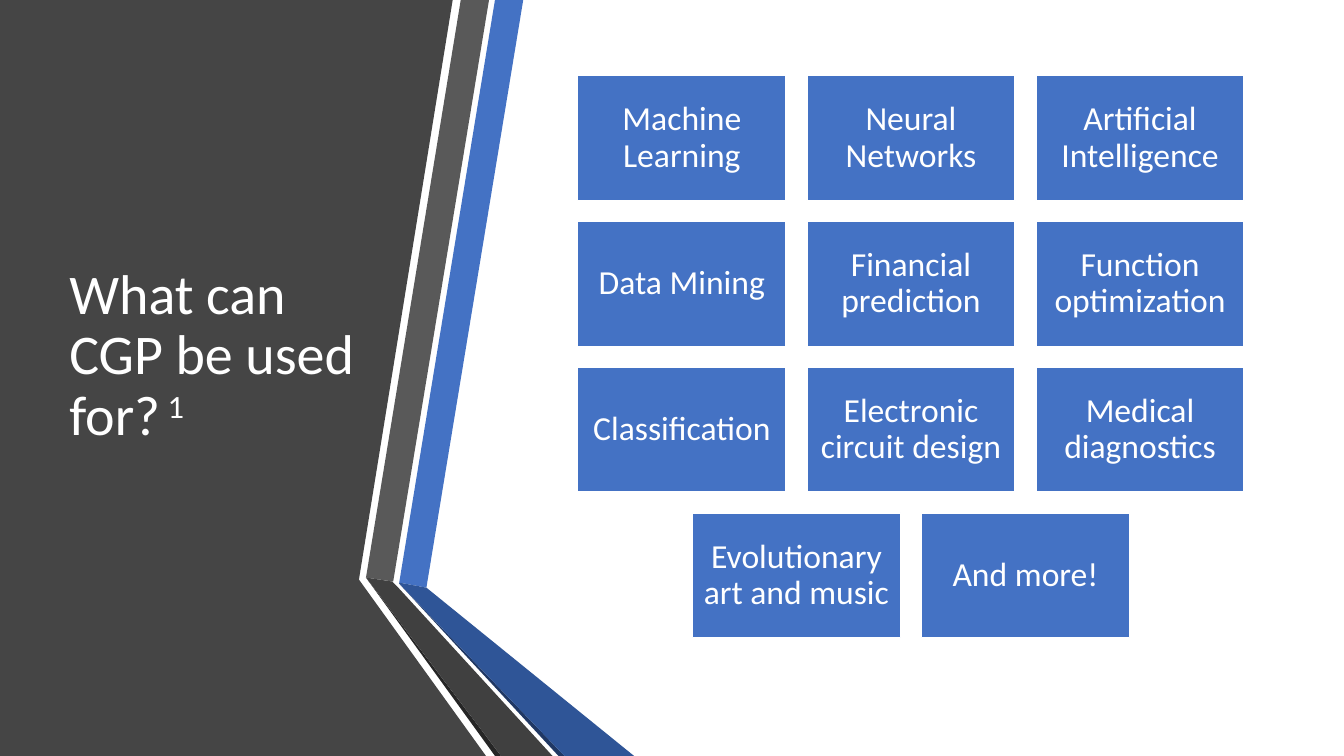
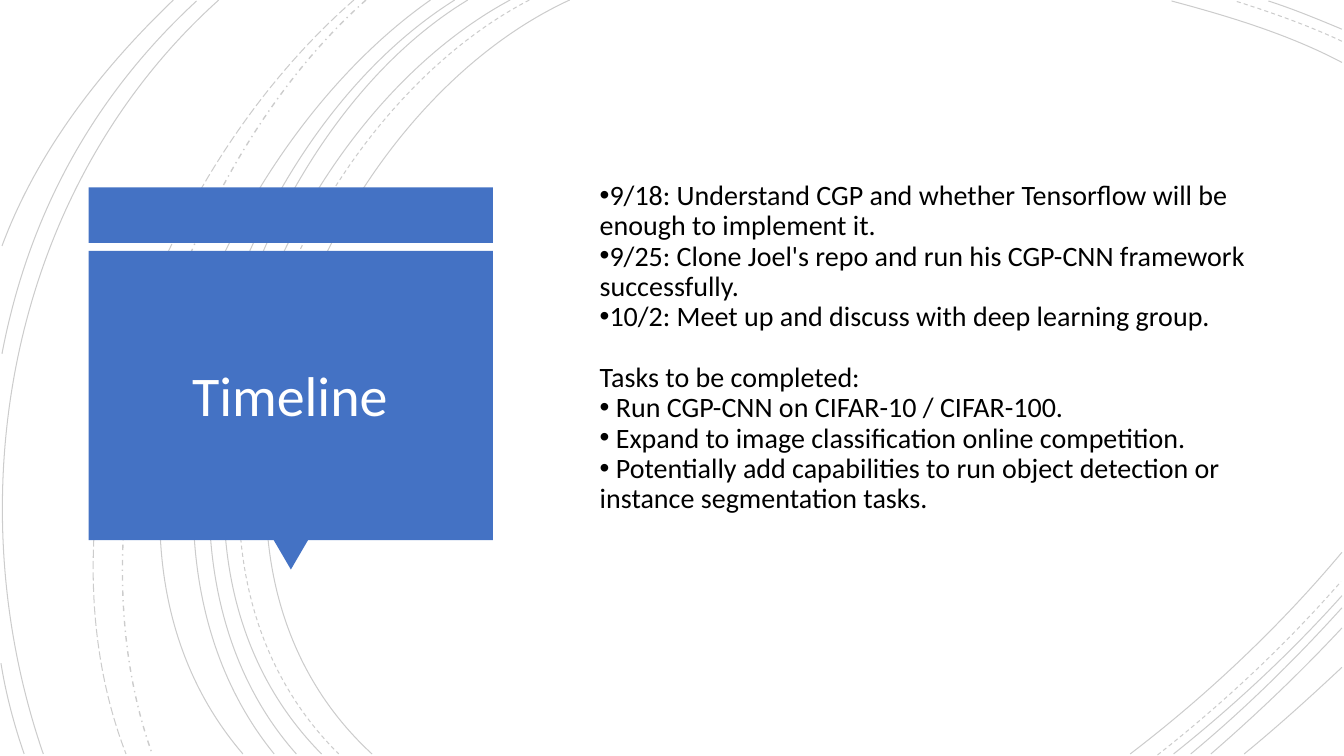
from lxml import etree
from pptx import Presentation
from pptx.dml.color import RGBColor
from pptx.enum import dml, shapes, text
from pptx.oxml import ns
from pptx.util import Inches, Pt

FONT = "Calibri"
WHITE, BLACK, BLUE = "FFFFFF", "000000", "4472C4"
WIDTH, HEIGHT = 13.33, 7.5
TITLE_FORMAT = {"size": Pt(40), "color": WHITE}
TILE_FORMAT = {"size": Pt(24), "color": WHITE}
BODY_FORMAT = {"size": Pt(20), "color": BLACK}
SOLID, DASH = dml.MSO_LINE.SOLID, dml.MSO_LINE.DASH
LONG_DASH, DASH_DOT = dml.MSO_LINE.LONG_DASH, dml.MSO_LINE.DASH_DOT

# Folded ribbon: colour and corner points, from back to front
RIBBON = [
    ("454545", [(0, 0), (4.49, 0), (3.56, 5.75), (4.82, 7.5), (0, 7.5)]),
    (BLUE, [(3.96, 5.78), (4.23, 5.83), (5.19, 0), (4.91, 0)]),
    ("595959", [(4.85, 0), (4.57, 0), (3.63, 5.73), (3.9, 5.77)]),
    ("262626", [(3.63, 5.73), (4.91, 7.5), (4.97, 7.5)]),
    ("203864", [(3.96, 5.79), (5.54, 7.5), (5.6, 7.5)]),
    ("2F5597", [(3.96, 5.79), (5.6, 7.5), (6.29, 7.5), (4.23, 5.83), (3.96, 5.78)]),
    ("404040", [(5.48, 7.5), (3.95, 5.83), (3.89, 5.77), (3.63, 5.73), (4.97, 7.5)]),
]

# Background arcs: dash style and four Bezier points
ARCS = [
    (SOLID, (5.65, 0), (3.15, 1.15), (1.43, 5.4), (3.69, 7.48)),
    (SOLID, (13.31, 0.62), (12.78, 0.34), (12.18, 0.16), (11.62, 0.01)),
    (SOLID, (11.21, 7.48), (11.97, 6.9), (12.69, 6.22), (13.31, 5.48)),
    (DASH, (5.25, 0), (2.85, 1.25), (1.23, 5.37), (3.36, 7.48)),
    (DASH, (13.31, 0.41), (12.97, 0.25), (12.6, 0.12), (12.25, 0.01)),
    (DASH, (11.48, 7.49), (12.13, 6.98), (12.75, 6.4), (13.3, 5.77)),
    (SOLID, (5.06, 0), (2.7, 1.27), (1.1, 5.37), (3.19, 7.48)),
    (SOLID, (13.31, 0.29), (13.07, 0.19), (12.83, 0.09), (12.58, 0.01)),
    (SOLID, (11.64, 7.48), (12.23, 7.01), (12.8, 6.48), (13.31, 5.91)),
    (SOLID, (4.64, 0), (2.44, 1.33), (1.1, 5.41), (2.94, 7.48)),
    (SOLID, (11.81, 7.48), (12.34, 7.04), (12.84, 6.55), (13.31, 6.03)),
    (SOLID, (4.51, 0), (2.31, 1.38), (0.97, 5.33), (2.72, 7.48)),
    (SOLID, (12.01, 7.48), (12.46, 7.09), (12.9, 6.67), (13.31, 6.23)),
    (SOLID, (4.27, 0), (2.17, 1.47), (0.53, 5.29), (2.41, 7.48)),
    (SOLID, (12.34, 7.48), (12.67, 7.21), (12.99, 6.92), (13.31, 6.62)),
    (DASH_DOT, (3.63, 0), (1.76, 1.66), (0.65, 5.09), (1.51, 7.48)),
    (LONG_DASH, (3.51, 0), (1.57, 1.69), (0.29, 4.99), (1.25, 7.48)),
    (SOLID, (2.17, 0), (0.11, 1.85), (-0.46, 4.9), (0.43, 7.48)),
    (SOLID, (1.95, 0.01), (0.92, 0.96), (0.28, 2.14), (0.02, 3.51)),
    (SOLID, (0.01, 6.58), (0.06, 6.89), (0.14, 7.19), (0.24, 7.48)),
    (SOLID, (1.72, 0), (1, 0.69), (0.37, 1.5), (0.02, 2.44)),
]

USES = ["Machine Learning", "Neural Networks", "Artificial Intelligence",
        "Data Mining", "Financial prediction", "Function optimization",
        "Classification", "Electronic circuit design", "Medical diagnostics",
        "Evolutionary art and music", "And more!"]

MILESTONES = [
    "9/18: Understand CGP and whether Tensorflow will be enough to implement it.",
    "9/25: Clone Joel's repo and run his CGP-CNN framework successfully.",
    "10/2: Meet up and discuss with deep learning group.",
]
TASKS = [
    " Run CGP-CNN on CIFAR-10 / CIFAR-100.",
    " Expand to image classification online competition.",
    " Potentially add capabilities to run object detection or instance segmentation tasks.",
]


# Shared helpers
def rgb(value):
    return RGBColor.from_string(value)


def paint(shape, fill=None, line=None):
    shape.shadow.inherit = False
    for part, color in ((shape.fill, fill), (shape.line.fill, line)):
        if color:
            part.solid()
            part.fore_color.rgb = rgb(color)
        else:
            part.background()


def add_block(slide, preset, box, fill, line=None):
    shape = slide.shapes.add_shape(preset, *map(Inches, box))
    paint(shape, fill, line)
    return shape


def add_outline(slide, points, close=True):
    corners = [(Inches(x), Inches(y)) for x, y in points]
    builder = slide.shapes.build_freeform(*corners[0])
    builder.add_line_segments(corners[1:], close=close)
    return builder.convert_to_shape()


def add_curve(slide, controls):
    """Draw one cubic Bezier curve through its four control points."""
    shape = add_outline(slide, controls, close=False)
    segments = list(shape._element.iter(ns.qn("a:lnTo")))
    outline = segments[0].getparent()
    curve = etree.SubElement(outline, ns.qn("a:cubicBezTo"))
    for segment in segments:
        curve.append(segment[0])
        outline.remove(segment)
    return shape


def add_text_box(slide, box):
    return slide.shapes.add_textbox(*map(Inches, box))


def prepare_frame(shape, anchor=text.MSO_ANCHOR.MIDDLE, inset=None):
    frame = shape.text_frame
    frame.word_wrap = True
    frame.vertical_anchor = anchor
    if inset is not None:
        for side in ("left", "right", "top", "bottom"):
            setattr(frame, f"margin_{side}", Inches(inset))
    return frame


def add_run(paragraph, words, style):
    run = paragraph.add_run()
    run.text = words
    run.font.name = FONT
    for name, value in style.items():
        if name == "color":
            run.font.color.rgb = rgb(value)
        else:
            setattr(run.font, name, value)
    return run


def write(paragraph, words, style, align=text.PP_ALIGN.LEFT):
    paragraph.alignment = align
    paragraph.line_spacing = 0.9
    return add_run(paragraph, words, style)


def add_title(slide, box, words, align=text.PP_ALIGN.LEFT):
    paragraph = prepare_frame(add_text_box(slide, box)).paragraphs[0]
    write(paragraph, words, TITLE_FORMAT, align)
    return paragraph


# Slide 1: ribbon, title and tiles
def draw_ribbon(slide, left, top):
    for color, points in RIBBON:
        paint(add_outline(slide, [(left + x, top + y) for x, y in points]), color)


def draw_tiles(slide, left, top, width, columns=3):
    tile_width = width / (columns + 0.1 * (columns - 1))
    tile_height = 0.6 * tile_width
    gap = 0.1 * tile_width
    for start in range(0, len(USES), columns):
        row = USES[start:start + columns]
        row_width = len(row) * (tile_width + gap) - gap
        x = left + (width - row_width) / 2
        y = top + start // columns * (tile_height + gap)
        for words in row:
            tile = add_block(slide, shapes.MSO_SHAPE.RECTANGLE,
                             (x, y, tile_width, tile_height), BLUE, WHITE)
            tile.line.width = Pt(1)
            frame = prepare_frame(tile, inset=0.1)
            write(frame.paragraphs[0], words, TILE_FORMAT, text.PP_ALIGN.CENTER)
            x += tile_width + gap


def build_uses_slide(slide):
    draw_ribbon(slide, 0, 0)
    title = add_title(slide, (0.59, 0.75, 3.04, 5.58), "What can CGP be used for?")
    note = add_run(title, " 1", TITLE_FORMAT)
    note.font._element.set("baseline", "30000")
    draw_tiles(slide, 5.73, 0.75, 6.61)


# Slide 2: arcs, callout and schedule
def draw_arcs(slide, left, top):
    for dash, *controls in ARCS:
        arc = add_curve(slide, [(left + x, top + y) for x, y in controls])
        paint(arc, line=BLACK)
        arc.line.width = Pt(1 if dash == DASH_DOT else 0.75)
        arc.line.dash_style = dash
        for color in arc._element.iter(ns.qn("a:srgbClr")):
            etree.SubElement(color, ns.qn("a:alpha"), val="20000")


def draw_callout(slide, left, top, width, height):
    band, gap, pointer_width, pointer_height = 0.55, 0.08, 0.35, 0.3
    body_top = top + band + gap
    body_height = height - band - gap - pointer_height
    rectangle = shapes.MSO_SHAPE.RECTANGLE
    add_block(slide, rectangle, (left, top, width, band), BLUE)
    pointer = add_block(slide, shapes.MSO_SHAPE.ISOSCELES_TRIANGLE,
                        (left + (width - pointer_width) / 2,
                         body_top + body_height - 0.01,
                         pointer_width, pointer_height), BLUE)
    pointer.rotation = 180
    add_block(slide, rectangle, (left, body_top, width, body_height), BLUE)
    add_title(slide, (left + 0.11, body_top + 0.15, width - 0.24, body_height - 0.25),
              "Timeline", text.PP_ALIGN.CENTER)


def draw_schedule(slide, box):
    frame = prepare_frame(add_text_box(slide, box), text.MSO_ANCHOR.TOP)
    heading = "Tasks to be completed:"
    for index, words in enumerate([*MILESTONES, heading, *TASKS]):
        paragraph = frame.add_paragraph() if index else frame.paragraphs[0]
        write(paragraph, words, BODY_FORMAT)
        properties = paragraph._p.get_or_add_pPr()
        properties.set("marL", str(Inches(0.25)))
        properties.set("indent", "0")
        if words == heading:
            paragraph.space_before = Pt(22)
        else:
            etree.SubElement(properties, ns.qn("a:buFont"), typeface="Arial")
            etree.SubElement(properties, ns.qn("a:buChar"), char="•")


def build_timeline_slide(slide):
    draw_arcs(slide, 0, 0)
    draw_callout(slide, 0.88, 1.86, 4.01, 3.8)
    draw_schedule(slide, (5.6, 1.75, 6.87, 3.5))


def main():
    presentation = Presentation()
    presentation.slide_width = Inches(WIDTH)
    presentation.slide_height = Inches(HEIGHT)
    for build in (build_uses_slide, build_timeline_slide):
        build(presentation.slides.add_slide(presentation.slide_layouts[6]))
    presentation.save("out.pptx")


if __name__ == "__main__":
    main()
